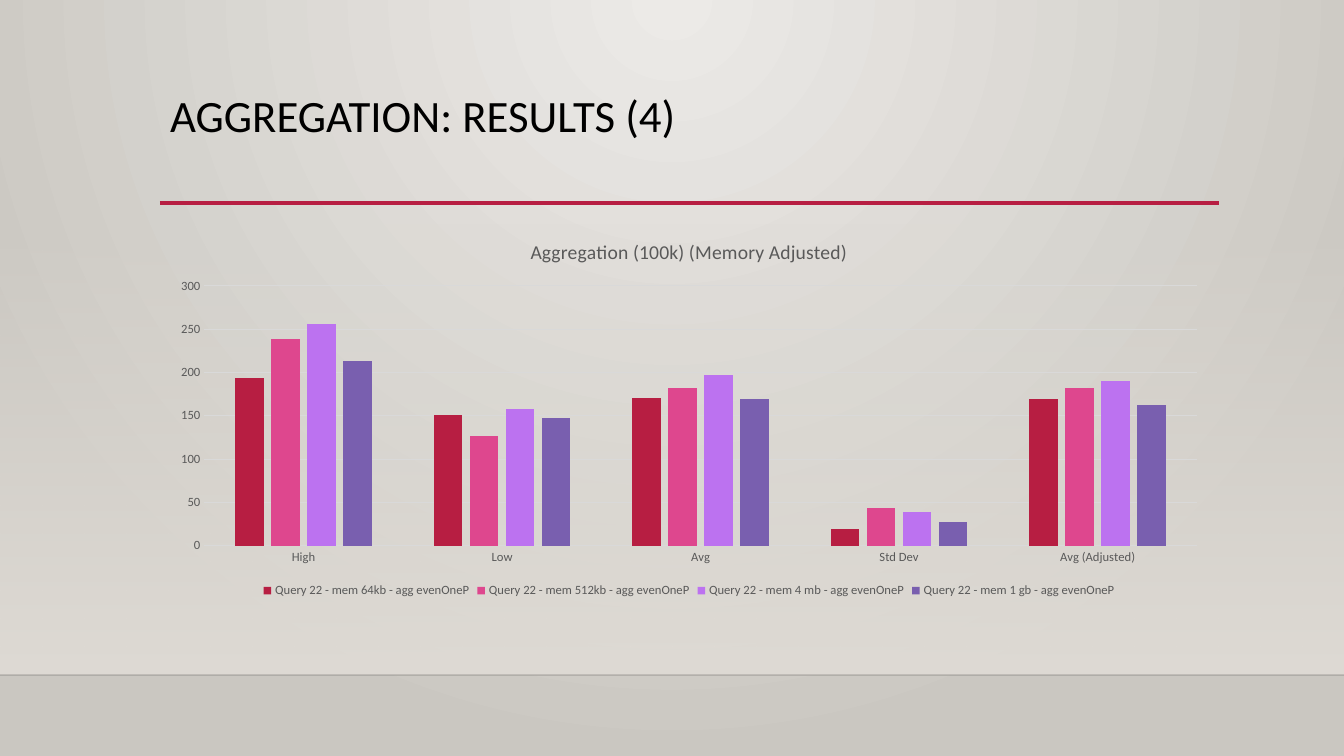
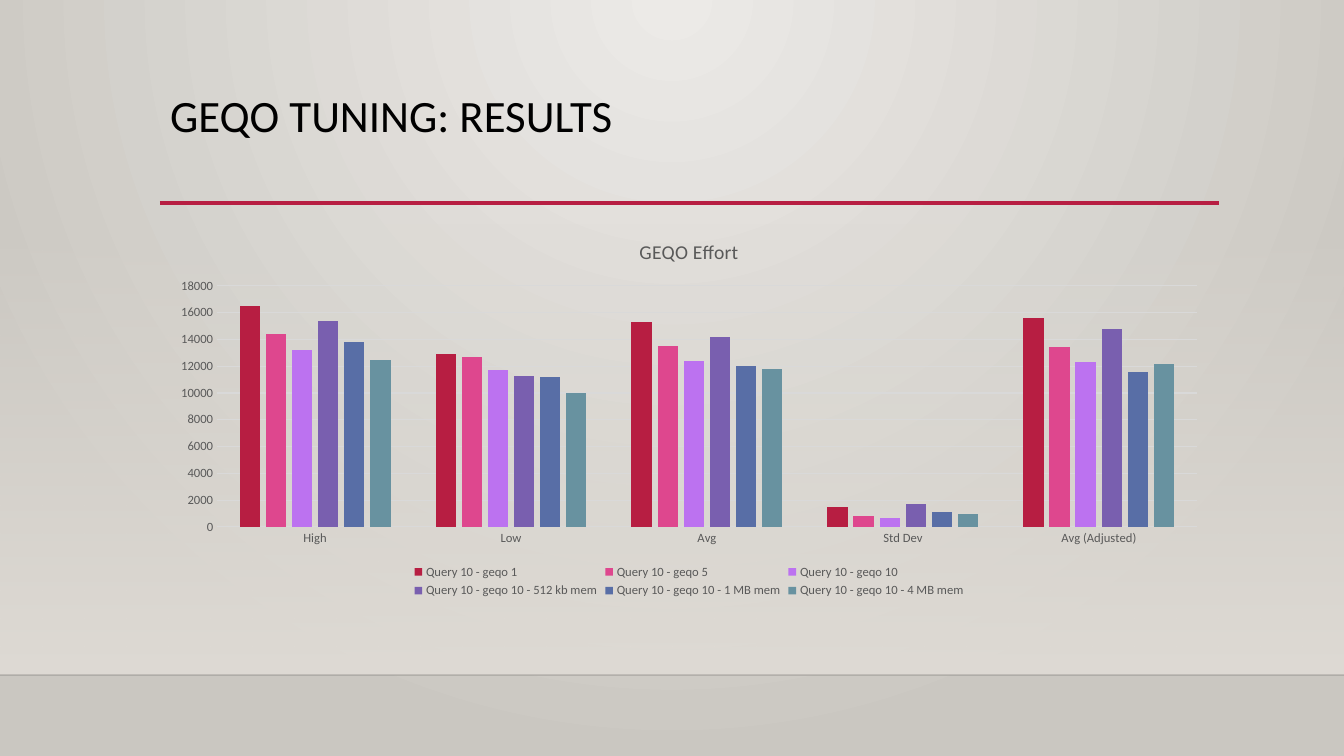
"""Build two benchmark result slides, each with a titled column chart."""
import dataclasses
import typing

import pptx
import pptx.chart.data
import pptx.dml.color
import pptx.enum.chart
import pptx.enum.shapes
import pptx.enum.text
import pptx.oxml
import pptx.oxml.ns
import pptx.util

EMU_PER_PIXEL = 914400 / 100.8
SLIDE_WIDTH, SLIDE_HEIGHT = 1344, 756
FONT = "Calibri"
COLORS = {
    "glow": "ECEAE7",
    "edge": "CAC7C1",
    "floor": "DFDBD5",
    "horizon": "000001",
    "accent": "B71E42",
    "heading": "000000",
    "label": "595959",
    "grid": "D9D9D9",
}
SERIES_COLORS = ["B71E42", "DE478E", "BC72F0", "795FAF", "586EA6", "6892A0"]
STATISTICS = ["High", "Low", "Avg", "Std Dev", "Avg (Adjusted)"]


@dataclasses.dataclass(frozen=True)
class Box:
    """A rectangle in pixels."""

    left: int
    top: int
    width: int
    height: int

    def emu(self) -> tuple[int, ...]:
        """Return left, top, width and height in EMU."""
        return tuple(px(side) for side in dataclasses.astuple(self))


@dataclasses.dataclass(frozen=True)
class Rule:
    """A horizontal line across the slide."""

    left: int
    right: int
    y: int
    color: str
    points: float
    opacity: int = 100


@dataclasses.dataclass(frozen=True)
class Query:
    """One measured query: a value for each statistic."""

    name: str
    values: list[int]


@dataclasses.dataclass(frozen=True)
class Result:
    """The content of one slide."""

    heading: str
    chart_title: str
    queries: list[Query]


HEADING_BOX = Box(160, 89, 1058, 116)
CHART_BOX = Box(160, 222, 1058, 380)
FLOOR_BOX = Box(0, 223, SLIDE_WIDTH, 452)
RULES = [
    Rule(0, SLIDE_WIDTH, 675, COLORS["horizon"], 1, opacity=20),
    Rule(160, 1219, 203, COLORS["accent"], 2.5),
]
RESULTS = [
    Result("AGGREGATION: RESULTS (4)", "Aggregation (100k) (Memory Adjusted)", [
        Query("Query 22 - mem 64kb - agg evenOneP", [194, 151, 171, 19, 169]),
        Query("Query 22 - mem 512kb - agg evenOneP", [239, 126, 182, 43, 182]),
        Query("Query 22 - mem 4 mb - agg evenOneP", [256, 158, 197, 39, 190]),
        Query("Query 22 - mem 1 gb - agg evenOneP", [213, 147, 169, 27, 162]),
    ]),
    Result("GEQO TUNING: RESULTS", "GEQO Effort", [
        Query("Query 10 - geqo 1", [16500, 12900, 15300, 1500, 15600]),
        Query("Query 10 - geqo 5", [14400, 12700, 13500, 800, 13400]),
        Query("Query 10 - geqo 10", [13200, 11700, 12400, 700, 12300]),
        Query("Query 10 - geqo 10 - 512 kb mem", [15400, 11300, 14200, 1700, 14800]),
        Query("Query 10 - geqo 10 - 1 MB mem", [13800, 11200, 12000, 1100, 11600]),
        Query("Query 10 - geqo 10 - 4 MB mem", [12500, 10000, 11800, 1000, 12200]),
    ]),
]


def px(pixels: int) -> int:
    """Turn pixels into EMU."""
    return round(pixels * EMU_PER_PIXEL)


def rgb(color: str) -> pptx.dml.color.RGBColor:
    """Turn a hex string into a colour."""
    return pptx.dml.color.RGBColor.from_string(color)


def style_font(font: typing.Any, size: float, color: str) -> None:
    """Give a font the deck's typeface, a size and a colour."""
    font.name = FONT
    font.size = pptx.util.Pt(size)
    font.bold = False
    font.color.rgb = rgb(color)


def write_text(frame: typing.Any, text: str, *, size: float, color: str,
               line_spacing: float | None = None,
               align: typing.Any = None) -> None:
    """Write one formatted paragraph into a text frame."""
    paragraph = frame.paragraphs[0]
    paragraph.line_spacing = line_spacing
    paragraph.alignment = align
    run = paragraph.add_run()
    run.text = text
    style_font(run.font, size, color)


def fill_gradient(fill: typing.Any, parent: typing.Any, start: str, end: str,
                  direction: str, start_opacity: int = 100) -> None:
    """Fill a shape or background with a gradient of two colours."""
    fill.gradient()
    gradient = pptx.oxml.parse_xml(
        f'<a:gradFill {pptx.oxml.ns.nsdecls("a")} rotWithShape="1"><a:gsLst>'
        f'<a:gs pos="0"><a:srgbClr val="{start}">'
        f'<a:alpha val="{start_opacity * 1000}"/></a:srgbClr></a:gs>'
        f'<a:gs pos="100000"><a:srgbClr val="{end}"/></a:gs>'
        f'</a:gsLst>{direction}</a:gradFill>')
    parent.replace(parent.find(pptx.oxml.ns.qn("a:gradFill")), gradient)


def paint_background(master: typing.Any) -> None:
    """Give every slide a glow that spreads from the top centre."""
    background = master.background
    fill = background.fill
    direction = ('<a:path path="circle">'
                 '<a:fillToRect l="43000" r="43000" b="100000"/></a:path>')
    fill_gradient(fill, master.element.cSld.bg.bgPr,
                  COLORS["glow"], COLORS["edge"], direction)


def draw_floor(slide: typing.Any) -> None:
    """Draw the band that fades in towards the horizon."""
    floor = slide.shapes.add_shape(
        pptx.enum.shapes.MSO_SHAPE.RECTANGLE, *FLOOR_BOX.emu())
    floor.shadow.inherit = False
    floor.line.fill.background()
    fill_gradient(floor.fill, floor.element.spPr, COLORS["floor"],
                  COLORS["floor"], '<a:lin ang="5400000" scaled="0"/>',
                  start_opacity=0)


def draw_rule(slide: typing.Any, rule: Rule) -> None:
    """Draw a horizontal line."""
    line = slide.shapes.add_connector(
        pptx.enum.shapes.MSO_CONNECTOR.STRAIGHT,
        px(rule.left), px(rule.y), px(rule.right), px(rule.y))
    line.line.width = pptx.util.Pt(rule.points)
    line.line.color.rgb = rgb(rule.color)
    properties = line.element.spPr
    if rule.opacity < 100:
        color = properties.find(".//" + pptx.oxml.ns.qn("a:srgbClr"))
        color.append(pptx.oxml.parse_xml(
            f'<a:alpha {pptx.oxml.ns.nsdecls("a")} val="{rule.opacity * 1000}"/>'))
    properties.append(pptx.oxml.parse_xml(
        f'<a:effectLst {pptx.oxml.ns.nsdecls("a")}/>'))


def place_heading(slide: typing.Any, text: str) -> None:
    """Move the title placeholder and write the heading in it."""
    heading = slide.shapes.title
    heading.left, heading.top, heading.width, heading.height = HEADING_BOX.emu()
    frame = heading.text_frame
    frame.word_wrap = True
    frame.auto_size = pptx.enum.text.MSO_AUTO_SIZE.NONE
    frame.vertical_anchor = pptx.enum.text.MSO_ANCHOR.TOP
    write_text(frame, text, size=32, color=COLORS["heading"],
               line_spacing=0.9, align=pptx.enum.text.PP_ALIGN.LEFT)


def style_axes(chart: typing.Any) -> None:
    """Set labels, tick marks, axis lines and gridlines."""
    statistics, scale = chart.category_axis, chart.value_axis
    for axis in (statistics, scale):
        axis.major_tick_mark = pptx.enum.chart.XL_TICK_MARK.NONE
        axis.minor_tick_mark = pptx.enum.chart.XL_TICK_MARK.NONE
        style_font(axis.tick_labels.font, 9, COLORS["label"])
    scale.format.line.fill.background()
    scale.has_major_gridlines = True
    for line in (statistics.format.line, scale.major_gridlines.format.line):
        line.color.rgb = rgb(COLORS["grid"])
        line.width = pptx.util.Pt(0.75)


def draw_chart(slide: typing.Any, result: Result) -> None:
    """Draw the column chart with its title and legend."""
    data = pptx.chart.data.CategoryChartData()
    data.categories = STATISTICS
    for query in result.queries:
        data.add_series(query.name, query.values)
    chart = slide.shapes.add_chart(
        pptx.enum.chart.XL_CHART_TYPE.COLUMN_CLUSTERED,
        *CHART_BOX.emu(), data).chart
    style_font(chart.font, 10, COLORS["heading"])

    chart.has_title = True
    write_text(chart.chart_title.text_frame, result.chart_title,
               size=14, color=COLORS["label"])
    chart.chart_title.include_in_layout = False

    chart.has_legend = True
    chart.legend.position = pptx.enum.chart.XL_LEGEND_POSITION.BOTTOM
    chart.legend.include_in_layout = False
    style_font(chart.legend.font, 9, COLORS["label"])

    style_axes(chart)
    columns = chart.plots[0]
    columns.gap_width = 219
    columns.overlap = -27
    columns.vary_by_categories = False
    for series, color in zip(columns.series, SERIES_COLORS):
        series.format.fill.solid()
        series.format.fill.fore_color.rgb = rgb(color)


def build_slide(deck: typing.Any, result: Result) -> None:
    """Add one result slide."""
    title_only = deck.slide_layouts[5]
    slide = deck.slides.add_slide(title_only)
    draw_floor(slide)
    for rule in RULES:
        draw_rule(slide, rule)
    place_heading(slide, result.heading)
    draw_chart(slide, result)


def main() -> None:
    """Build and save the deck."""
    deck = pptx.Presentation()
    deck.slide_width, deck.slide_height = px(SLIDE_WIDTH), px(SLIDE_HEIGHT)
    paint_background(deck.slide_master)
    for result in RESULTS:
        build_slide(deck, result)
    deck.save("out.pptx")


main()
